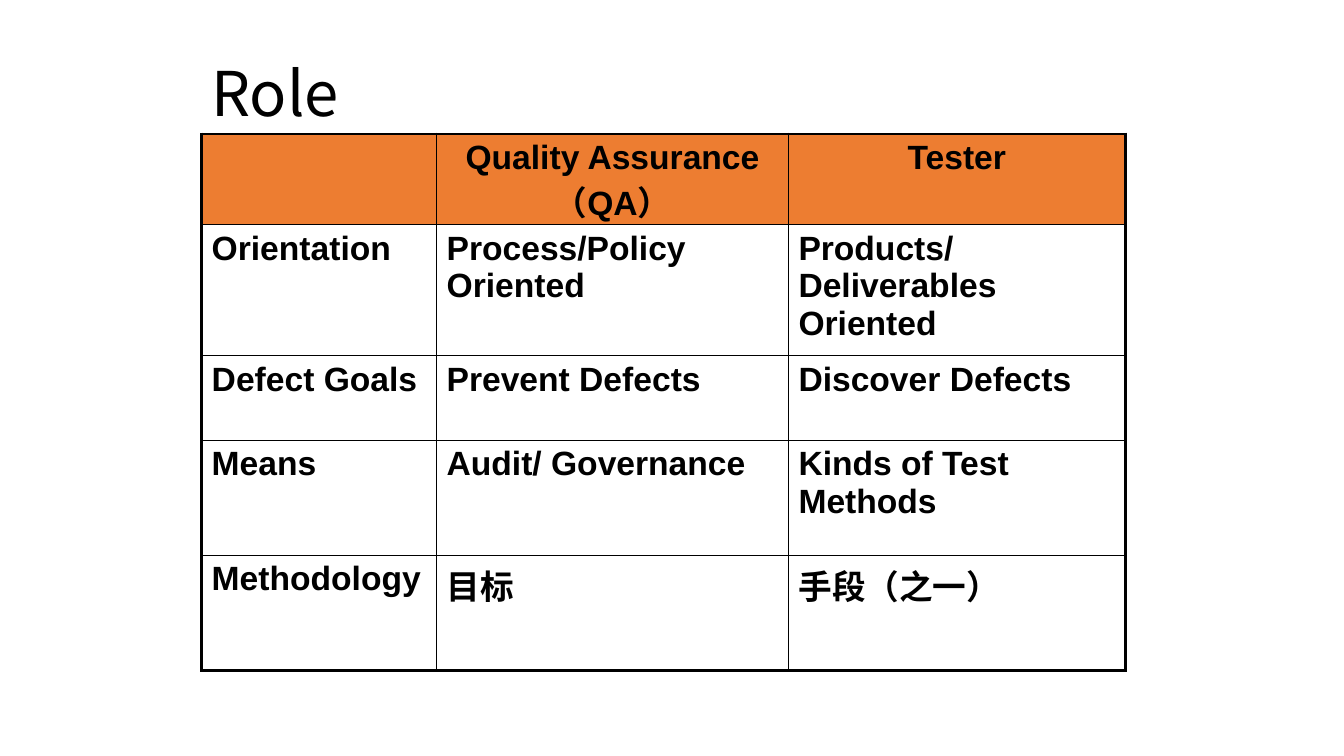
from pptx import Presentation
from pptx.dml.color import RGBColor
from pptx.enum.text import MSO_ANCHOR, PP_ALIGN
from pptx.oxml import parse_xml
from pptx.oxml.ns import nsdecls
from pptx.util import Inches, Pt

CJK = "Noto Sans CJK SC"


def color(value):
    return RGBColor.from_string(value)


def set_border(cell, side, width):
    cell._tc.get_or_add_tcPr().append(parse_xml(
        f'<a:ln{side} {nsdecls("a")} w="{Pt(width)}"><a:solidFill>'
        f'<a:srgbClr val="000000"/></a:solidFill></a:ln{side}>'))


prs = Presentation()
prs.slide_width, prs.slide_height = Inches(13.33), Inches(7.5)
s = prs.slides.add_slide(prs.slide_layouts[6])

# Title
title = s.shapes.add_textbox(Inches(2), Inches(0.5), Inches(9), Inches(0.92))
tf = title.text_frame
tf.word_wrap = True
tf.vertical_anchor = MSO_ANCHOR.MIDDLE
p = tf.paragraphs[0]
p.text = "Role"
p.line_spacing = 0.9
p.font.name, p.font.size = CJK, Pt(44)
p.font.color.rgb = color("000000")

# Role comparison table
rows = [
    ("", "Quality Assurance （QA）", "Tester"),
    ("Orientation", "Process/Policy Oriented", "Products/Deliverables Oriented"),
    ("Defect Goals", "Prevent Defects", "Discover Defects"),
    ("Means", "Audit/ Governance", "Kinds of Test Methods"),
    ("Methodology", "目标", "手段（之一）"),
]
widths = [2.33, 3.49, 3.34]
heights = [0.9, 1.14, 0.84, 1.14, 1.14]
table = s.shapes.add_table(len(rows), len(widths), Inches(2), Inches(1.33),
                           Inches(sum(widths)), Inches(sum(heights))).table
for column, width in zip(table.columns, widths):
    column.width = Inches(width)
for row, height in zip(table.rows, heights):
    row.height = Inches(height)

for i, texts in enumerate(rows):
    for j, text in enumerate(texts):
        cell = table.cell(i, j)

        # Thick outer frame, thin inner rules; borders precede the fill
        outer = {"L": j == 0, "R": j == len(widths) - 1,
                 "T": i == 0, "B": i == len(rows) - 1}
        for side, is_outer in outer.items():
            set_border(cell, side, 2.25 if is_outer else 1)
        cell.fill.solid()
        cell.fill.fore_color.rgb = color("ED7D31" if i == 0 else "FFFFFF")

        # Cell text
        p = cell.text_frame.paragraphs[0]
        p.text = text
        p.alignment = PP_ALIGN.CENTER if i == 0 else PP_ALIGN.LEFT
        p.font.name, p.font.size, p.font.bold = "Arial", Pt(24), True
        p.font.color.rgb = color("000000")

prs.save("out.pptx")
